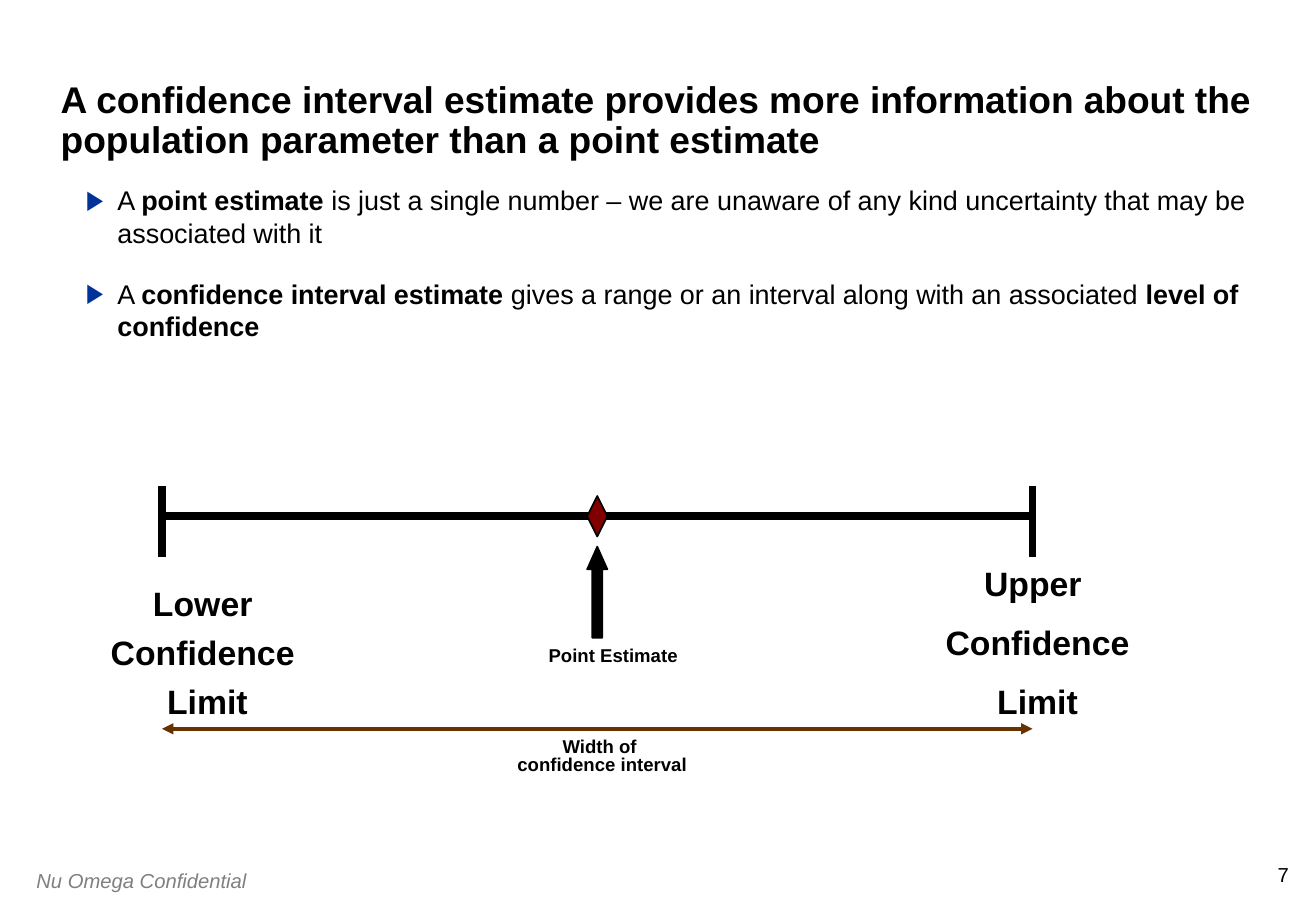
import pptx
import pptx.dml.color
import pptx.enum.shapes
import pptx.enum.text
import pptx.oxml.ns
import pptx.util
from lxml import etree

Pt = pptx.util.Pt
RGBColor = pptx.dml.color.RGBColor
Align = pptx.enum.text.PP_ALIGN
Anchor = pptx.enum.text.MSO_ANCHOR
Preset = pptx.enum.shapes.MSO_SHAPE
qn = pptx.oxml.ns.qn

BLACK = RGBColor(0x00, 0x00, 0x00)
GRAY = RGBColor(0x80, 0x80, 0x80)
BLUE = RGBColor(0x00, 0x33, 0x99)
MAROON = RGBColor(0x80, 0x00, 0x00)
BROWN = RGBColor(0x66, 0x33, 0x00)

FONT = "Arial"
LOWER, UPPER = 96, 612
MIDDLE = (LOWER + UPPER) / 2
INTERVAL_Y = 306
WIDTH_Y = 432


def write_text(frame, paragraphs, size, color=BLACK, bold=False, italic=False,
               align=Align.LEFT, anchor=Anchor.TOP, inset=(7.2, 3.6), wrap=True,
               gap=0, line_spacing=None, bullet=None):
    """Fill a text frame; each paragraph is a string or a list of (text, bold) runs."""
    frame.auto_size = pptx.enum.text.MSO_AUTO_SIZE.NONE
    frame.word_wrap = wrap
    frame.vertical_anchor = anchor
    frame.margin_left = frame.margin_right = Pt(inset[0])
    frame.margin_top = frame.margin_bottom = Pt(inset[1])
    for index, content in enumerate(paragraphs):
        paragraph = frame.add_paragraph() if index else frame.paragraphs[0]
        paragraph.alignment = align
        paragraph.space_before = Pt(gap if index else 0)
        if line_spacing:
            paragraph.line_spacing = line_spacing
        if bullet:
            add_bullet(paragraph, bullet)
        runs = [(content, bold)] if isinstance(content, str) else content
        for text, is_bold in runs:
            run = paragraph.add_run()
            run.text = text
            run.font.name = FONT
            run.font.size = Pt(size)
            run.font.bold = is_bold
            run.font.italic = italic
            run.font.color.rgb = color


def add_bullet(paragraph, color, indent=18.6):
    properties = paragraph._p.get_or_add_pPr()
    properties.set("marL", str(Pt(indent)))
    properties.set("indent", str(-Pt(indent)))
    bullet_color = etree.SubElement(properties, qn("a:buClr"))
    etree.SubElement(bullet_color, qn("a:srgbClr"), val=str(color))
    etree.SubElement(properties, qn("a:buFont"), typeface=FONT)
    etree.SubElement(properties, qn("a:buChar"), char="▶")


def add_label(slide, box, paragraphs, **text_format):
    label = slide.shapes.add_textbox(*map(Pt, box))
    write_text(label.text_frame, paragraphs, **text_format)
    return label


def add_line(slide, start, end, color, width, arrows=False):
    line = slide.shapes.add_connector(
        pptx.enum.shapes.MSO_CONNECTOR.STRAIGHT, *map(Pt, start + end))
    line.line.color.rgb = color
    line.line.width = Pt(width)
    if arrows:
        outline = line.line._get_or_add_ln()
        for tip in ("a:headEnd", "a:tailEnd"):
            etree.SubElement(outline, qn(tip), type="triangle")
    etree.SubElement(line._element.spPr, qn("a:effectLst"))


def add_marker(slide, preset, top, height, fill, adjustments=()):
    """Add a shape centred on the point estimate."""
    width = 12
    marker = slide.shapes.add_shape(
        preset, Pt(MIDDLE - width / 2), Pt(top), Pt(width), Pt(height))
    marker.shadow.inherit = False
    marker.fill.solid()
    marker.fill.fore_color.rgb = fill
    marker.line.color.rgb = BLACK
    marker.line.width = Pt(1)
    for index, value in enumerate(adjustments):
        marker.adjustments[index] = value


def add_title(slide, text):
    title = slide.shapes.title
    title.left, title.top, title.width, title.height = map(Pt, (36, 30, 708, 66))
    write_text(title.text_frame, [text], size=22, bold=True, anchor=Anchor.BOTTOM,
               inset=(0, 0), line_spacing=0.9)


def add_definitions(slide):
    add_label(slide, (51, 109, 690, 330), [
        [("A ", False), ("point estimate", True),
         (" is just a single number – we are unaware of any kind uncertainty "
          "that may be associated with it", False)],
        [("A ", False), ("confidence interval estimate ", True),
         ("gives a range or an interval along with an associated ", False),
         ("level of confidence", True)],
    ], size=16, inset=(0, 0), gap=17, bullet=BLUE)


def add_interval(slide):
    add_line(slide, (LOWER, INTERVAL_Y), (UPPER, INTERVAL_Y), BLACK, 4.5)
    for limit in (LOWER, UPPER):
        add_line(slide, (limit, 288), (limit, 330), BLACK, 4.5)
    add_marker(slide, Preset.DIAMOND, INTERVAL_Y - 12, 24, MAROON)
    add_marker(slide, Preset.UP_ARROW, 324, 54, BLACK, (0.5, 1.125))
    add_line(slide, (LOWER, WIDTH_Y), (UPPER, WIDTH_Y), BROWN, 2.25, arrows=True)

    centred = {"bold": True, "align": Align.CENTER}
    add_label(slide, (222.5, 378, 282, 36), ["Point Estimate"], size=11, **centred)
    add_label(slide, (54, 342, 138, 89), ["Lower ", "Confidence ", "Limit"],
              size=20, gap=4.9, **centred)
    add_label(slide, (552, 330, 126, 103), ["Upper ", "Confidence ", "Limit"],
              size=20, gap=11.1, **centred)
    width_label = add_label(slide, (216, WIDTH_Y, 282, 53),
                            ["Width of ", "confidence interval"],
                            size=11, gap=7.5, **centred)
    width_label.text_frame.paragraphs[1].line_spacing = 0.1


def add_footer(slide):
    add_label(slide, (749, 511, 15, 14.5), ["7"], size=12, align=Align.RIGHT,
              inset=(0, 0), wrap=False)
    add_label(slide, (14.5, 511, 144, 22), ["Nu Omega Confidential"], size=12,
              color=GRAY, italic=True)


def main():
    presentation = pptx.Presentation()
    presentation.slide_width, presentation.slide_height = Pt(780), Pt(540)
    slide = presentation.slides.add_slide(presentation.slide_layouts[5])
    add_title(slide, "A confidence interval estimate provides more information "
                     "about the population parameter than a point estimate")
    add_definitions(slide)
    add_interval(slide)
    add_footer(slide)
    presentation.save("out.pptx")


if __name__ == "__main__":
    main()
